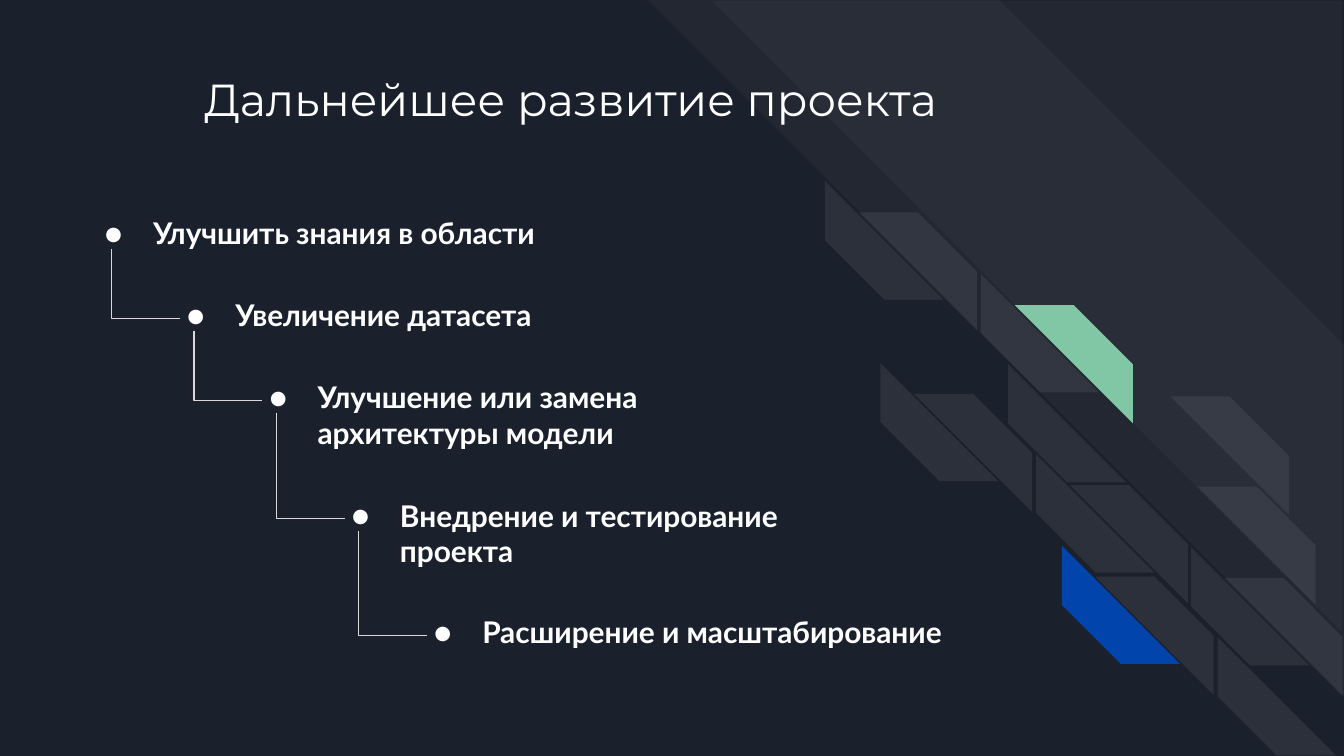
from dataclasses import dataclass

from lxml import etree
from pptx import Presentation, util as u
from pptx.dml.color import RGBColor
from pptx.enum import shapes as sh, text as tx
from pptx.oxml.ns import qn


@dataclass(frozen=True)
class Theme:
    back: str = "1B212C"
    ink: str = "FFFFFF"
    line: str = "D9D9D9"
    green: str = "82C7A5"
    blue: str = "0145AC"
    head: str = "Montserrat"
    body: str = "Lato"
    big: int = 24
    mid: int = 16


T = Theme()
WIDE = 10
HIGH = WIDE * 9 / 16
BRICK = 0.88
LEFT, LAST = 0.54, 2.99  # first and last column of the stairs

# Row top, box width, text
STEPS = [
    (1.5, 3.89, "Улучшить знания в области"),
    (2.11, 3.89, "Увеличение датасета"),
    (2.72, 3.89, "Улучшение или замена архитектуры модели"),
    (3.6, 3.89, "Внедрение и тестирование проекта"),
    (4.47, 4.65, "Расширение и масштабирование"),
]
PITCH = (LAST - LEFT) / (len(STEPS) - 1)

# Brick pairs: left, top, colour of the lower left and upper right halves
PAIRS = [
    (6.14, 1.35, None, None),
    (6.55, 2.7, None, None),
    (7.3, 2.04, None, T.green),
    (7.71, 3.38, None, None),
    (7.9, 4.06, T.blue, None),
    (8.86, 4.07, None, None),
]
LOWER = [(7.5, 2.71), (9.06, 4.74)]
UPPER = [(8.71, 2.95), (8.91, 3.62)]


def rgb(code):
    return RGBColor.from_string(code)


def box(*lens):
    return [u.Inches(n) for n in lens]


def sub(node, tag, **attrs):
    return etree.SubElement(node, qn(tag), **attrs)


def write(frame, words, font, size, bold=False, dot=False):
    """Fill a text frame with one paragraph, with a bullet if asked."""
    frame.word_wrap = True
    frame.auto_size = tx.MSO_AUTO_SIZE.NONE
    frame.vertical_anchor = tx.MSO_ANCHOR.TOP
    frame.margin_left = frame.margin_right = u.Inches(0.1)
    frame.margin_top = frame.margin_bottom = u.Inches(0.1)
    par = frame.paragraphs[0]
    par.alignment = tx.PP_ALIGN.LEFT
    if dot:
        props = par._p.get_or_add_pPr()
        props.set("marL", str(u.Inches(0.5)))
        props.set("indent", str(u.Inches(-0.36)))
        sub(sub(props, "a:buClr"), "a:srgbClr", val=T.ink)
        sub(props, "a:buFont", typeface=font)
        sub(props, "a:buChar", char="●")
    run = par.add_run()
    run.text = words
    run.font.name, run.font.size, run.font.bold = font, u.Pt(size), bold
    run.font.color.rgb = rgb(T.ink)


def stripe(slide, left, top, wide, high, cut=0.5, turn=0, flip=False,
           fill=None, alpha=7):
    """Diagonal band; without a fill colour it is a faint white veil."""
    band = slide.shapes.add_shape(sh.MSO_SHAPE.DIAGONAL_STRIPE,
                                  *box(left, top, wide, high))
    band.adjustments[0] = cut
    band.rotation = turn
    band.shadow.inherit = False
    band.line.fill.background()
    band.fill.solid()
    band.fill.fore_color.rgb = rgb(fill or T.ink)
    if not fill:
        tint = band._element.spPr.find(".//" + qn("a:srgbClr"))
        sub(tint, "a:alpha", val=str(alpha * 1000))
    if flip:
        band._element.spPr.find(qn("a:xfrm")).set("flipH", "1")


def lower(slide, left, top, fill=None):
    stripe(slide, left, top, BRICK, BRICK, turn=270, fill=fill)


def upper(slide, left, top, fill=None):
    stripe(slide, left, top, BRICK, BRICK, flip=True, fill=fill)


def decor(slide):
    # Wide veils in the upper right corner
    stripe(slide, 4.82, 0, 5.18, 5.18, cut=0.495, turn=90, alpha=3)
    stripe(slide, 5.29, 0.01, 4.7, 4.69, cut=0, turn=90, alpha=3)
    # Bricks along the diagonal
    for left, top, low, high in PAIRS:
        lower(slide, left, top, low)
        upper(slide, left + 0.25, top + 0.23, high)
    for spot in LOWER:
        lower(slide, *spot)
    for spot in UPPER:
        upper(slide, *spot)


def elbow(slide, left, top, end):
    """Line that drops from one step, then runs right to the next."""
    link = slide.shapes.add_connector(
        sh.MSO_CONNECTOR.ELBOW, *box(left, top, left + 0.51, end))
    link.line.color.rgb = rgb(T.line)
    link.line.width = u.Pt(0.75)
    props = link._element.spPr
    sub(props, "a:effectLst")
    geom = props.find(qn("a:prstGeom"))
    guides = geom.find(qn("a:avLst"))
    if guides is None:
        guides = sub(geom, "a:avLst")
    sub(guides, "a:gd", name="adj1", fmla="val 0")


def stairs(slide):
    for col, (top, wide, words) in enumerate(STEPS):
        left = LEFT + col * PITCH
        item = slide.shapes.add_textbox(*box(left, top, wide, 0.87))
        write(item.text_frame, words, T.body, T.mid, bold=True, dot=True)
        if col + 1 < len(STEPS):
            elbow(slide, left + 0.29, top + 0.35, STEPS[col + 1][0] + 0.26)


def main():
    deck = Presentation()
    deck.slide_width, deck.slide_height = box(WIDE, HIGH)
    slide = deck.slides.add_slide(deck.slide_layouts[5])
    slide.background.fill.solid()
    slide.background.fill.fore_color.rgb = rgb(T.back)
    decor(slide)

    # Title, brought in front of the bands
    title = slide.shapes.title
    title.left, title.top, title.width, title.height = box(1.42, 0.43, 7.7, 1)
    write(title.text_frame, "Дальнейшее развитие проекта", T.head, T.big)
    slide.shapes._spTree.append(title._element)

    stairs(slide)
    deck.save("out.pptx")


if __name__ == "__main__":
    main()
